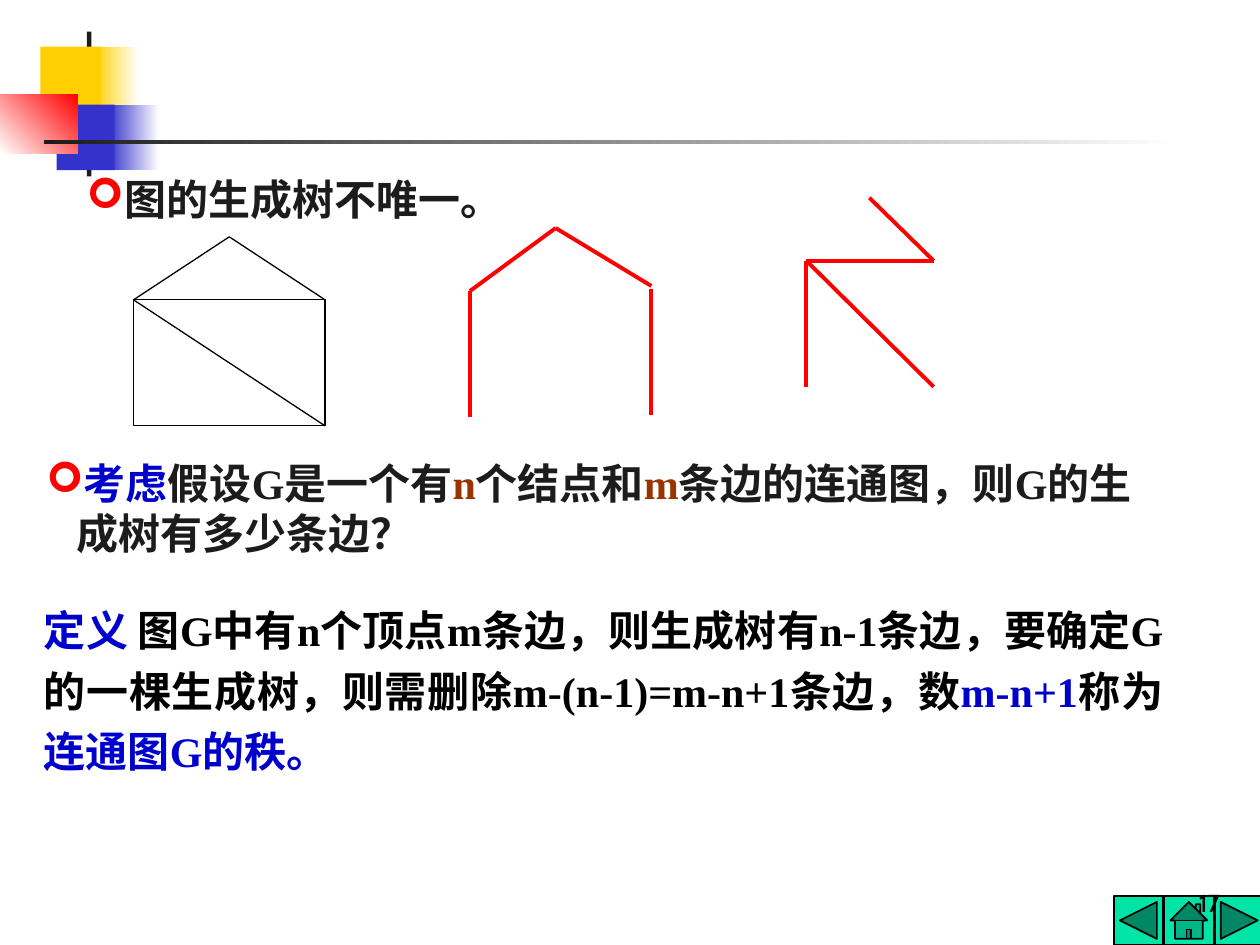
import pptx
import pptx.util
import pptx.dml.color
import pptx.enum.shapes
import pptx.enum.text
import pptx.oxml
import pptx.oxml.ns

Kind = pptx.enum.shapes.MSO_SHAPE
Side = pptx.enum.text.PP_ALIGN
Pt = pptx.util.Pt
INK = {"gold": "FFCF01", "blue": "3333CC", "dark": "1C1C1C", "white": "FFFFFF",
       "red": "FF0000", "green": "00E4A8", "black": "000000",
       "term": "0000CC", "brown": "993300"}

deck = pptx.Presentation()
deck.slide_width = pptx.util.Inches(10)
deck.slide_height = pptx.util.Inches(7.5)
CELL = deck.slide_width / 100  # the grid has 100 columns and 75 rows
slide = deck.slides.add_slide(deck.slide_layouts[6])
shapes = slide.shapes


def grid(*cells):
    return [round(cell * CELL) for cell in cells]


def rgb(name):
    return pptx.dml.color.RGBColor.from_string(INK[name])


# Corner blocks and rule: place, start colour, end colour, angle
blocks = [
    ((7.4, 3.7, 3.6, 5.2), "gold", "white", 0),
    ((8.6, 8.3, 4, 5.2), "blue", "white", 0),
    ((6.9, 2.5, 0.35, 11.5), "dark", None, 0),
    ((3.2, 3.7, 4.8, 5.2), "gold", None, 0),
    ((4.5, 8.3, 4.6, 5.2), "blue", None, 0),
    ((0, 7.5, 6.15, 4.65), "white", "red", 45),
    ((3.5, 11.1, 90, 0.35), "dark", "white", 0),
]
for place, start, end, angle in blocks:
    block = shapes.add_shape(Kind.RECTANGLE, *grid(*place))
    block.shadow.inherit = False
    block.line.fill.background()
    if end:
        block.fill.gradient()
        block.fill.gradient_angle = angle
        for stop, name in zip(block.fill.gradient_stops, (start, end)):
            stop.color.rgb = rgb(name)
            stop.position = 0 if name == start else 1
    else:
        block.fill.solid()
        block.fill.fore_color.rgb = rgb(start)

# Navigation buttons and the outlined house
outlines = [
    (Kind.ACTION_BUTTON_BACK_OR_PREVIOUS, (88.4, 71.1, 3.9, 3.9), "green", 1),
    (Kind.ACTION_BUTTON_HOME, (92.4, 71.1, 3.9, 3.9), "green", 1),
    (Kind.ACTION_BUTTON_FORWARD_OR_NEXT, (96.4, 71.1, 3.9, 3.9), "green", 1),
    (Kind.ISOSCELES_TRIANGLE, (10.6, 18.8, 15.2, 5), "white", 0.75),
    (Kind.RECTANGLE, (10.6, 23.8, 15.2, 10), "white", 0.75),
]
for kind, place, name, width in outlines:
    part = shapes.add_shape(kind, *grid(*place))
    part.shadow.inherit = False
    part.fill.solid()
    part.fill.fore_color.rgb = rgb(name)
    part.line.color.rgb = rgb("black")
    part.line.width = Pt(width)

# Graph edges: the house diagonal, then two spanning trees
edges = [
    ((10.6, 23.8, 25.8, 33.8), "black", 0.75),
    ((44.1, 18.1, 37.3, 23.1), "red", 2.25),
    ((44.1, 18.1, 51.7, 22.7), "red", 2.25),
    ((37.3, 23.1, 37.3, 33.1), "red", 2.25),
    ((51.7, 22.9, 51.7, 32.9), "red", 2.25),
    ((64, 20.7, 64, 30.7), "red", 2.25),
    ((64, 20.7, 74.1, 20.7), "red", 2.25),
    ((74.1, 20.7, 69, 15.7), "red", 2.25),
    ((64, 20.7, 74.1, 30.7), "red", 2.25),
]
for ends, name, width in edges:
    edge = shapes.add_connector(pptx.enum.shapes.MSO_CONNECTOR.STRAIGHT, *grid(*ends))
    edge.line.color.rgb = rgb(name)
    edge.line.width = Pt(width)
    props = edge._element.spPr
    props.append(pptx.oxml.parse_xml(
        "<a:effectLst %s/>" % pptx.oxml.ns.nsdecls("a")))

# Texts: place, bullet, paragraph format, font format, runs
bold = {"name": "Times New Roman", "size": Pt(24), "bold": True}
texts = [
    ((77, 68.3, 20.8, 5), False, {"alignment": Side.RIGHT},
     {"name": "Cabin", "size": Pt(14)}, [("17", "black")]),
    ((5.9, 13.3, 87.4, 5), True, {}, bold, [("图的生成树不唯一。", "dark")]),
    ((2.7, 35.8, 89.8, 9), True, {}, bold,
     [("考虑", "term"), ("假设G是一个有", "dark"), ("n", "brown"),
      ("个结点和", "dark"), ("m", "brown"),
      ("条边的连通图，则G的生成树有多少条边？", "dark")]),
    ((2.5, 46.7, 90.8, 15.4), False,
     {"alignment": Side.JUSTIFY, "line_spacing": 1.2}, bold,
     [("定义", "term"),
      (" 图G中有n个顶点m条边，则生成树有n-1条边，"
       "要确定G的一棵生成树，则需删除m-(n-1)=m-n+1条边，数", "black"),
      ("m-n+1", "term"), ("称为", "black"), ("连通图G的秩。", "term")]),
]
for place, bullet, layout, face, runs in texts:
    frame = shapes.add_textbox(*grid(*place)).text_frame
    frame.word_wrap = True
    if face is not bold:
        frame.vertical_anchor = pptx.enum.text.MSO_ANCHOR.BOTTOM
    para = frame.paragraphs[0]
    if bullet:
        props = para._p.get_or_add_pPr()
        hang, = grid(2.4)
        props.set("marL", str(hang))
        props.set("indent", str(-hang))
        for mark in ('<a:buClr %s><a:srgbClr val="' + INK["red"] + '"/></a:buClr>',
                     '<a:buFont %s typeface="Wingdings"/>',
                     '<a:buChar %s char="➢"/>'):
            props.append(pptx.oxml.parse_xml(mark % pptx.oxml.ns.nsdecls("a")))
    for key, value in layout.items():
        setattr(para, key, value)
    for words, name in runs:
        run = para.add_run()
        run.text = words
        run.font.color.rgb = rgb(name)
        for key, value in face.items():
            setattr(run.font, key, value)

deck.save("out.pptx")
